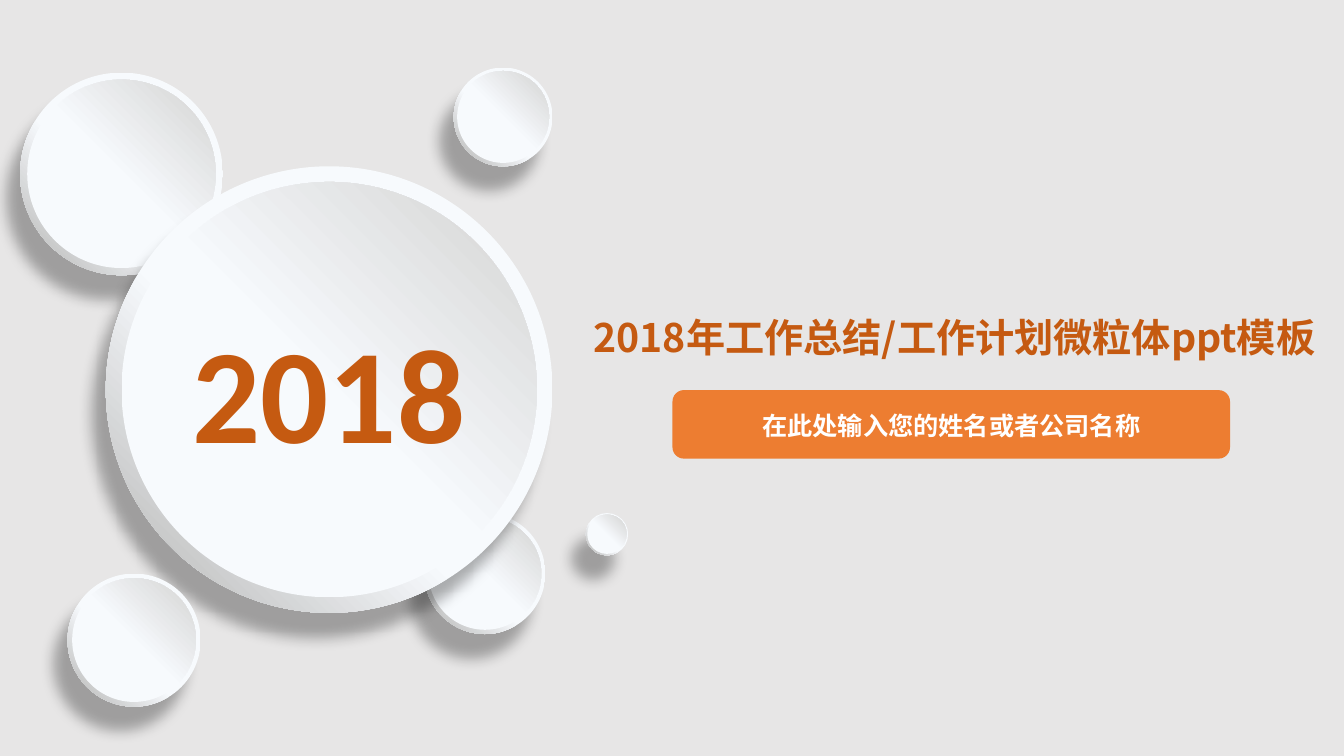
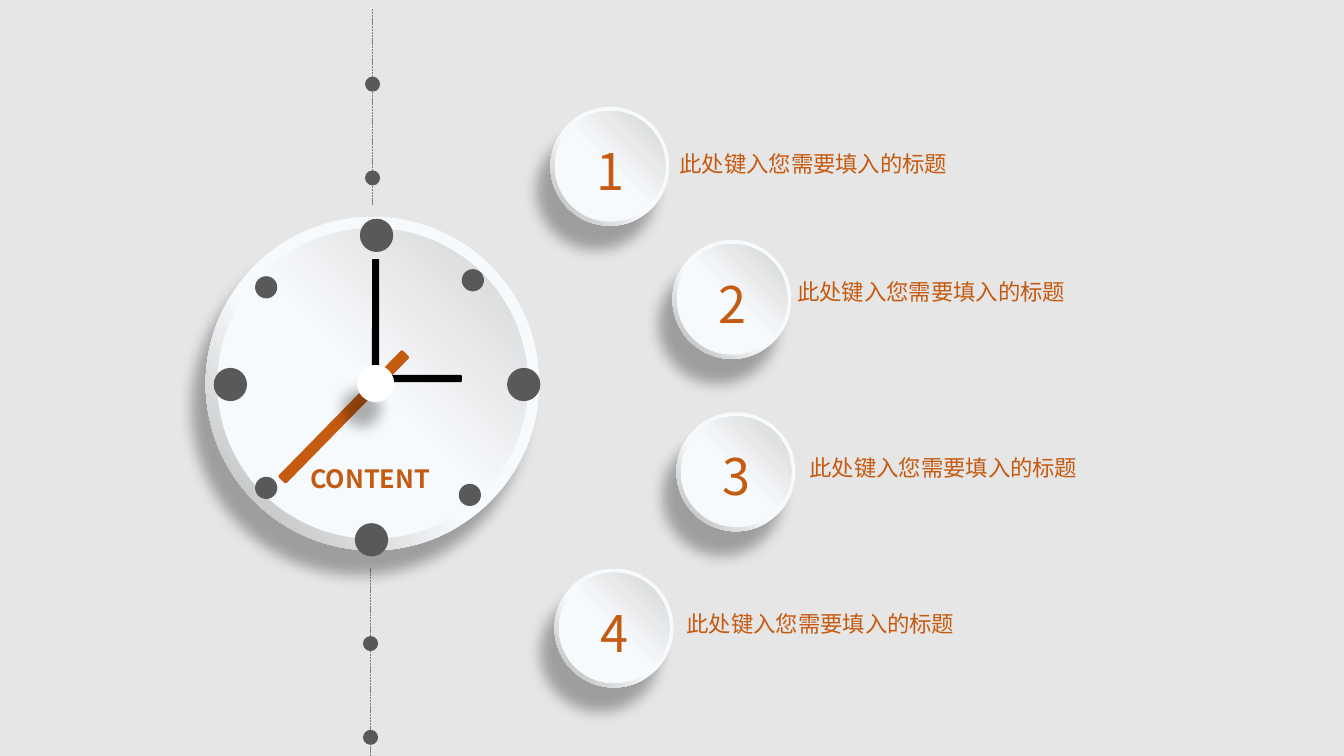
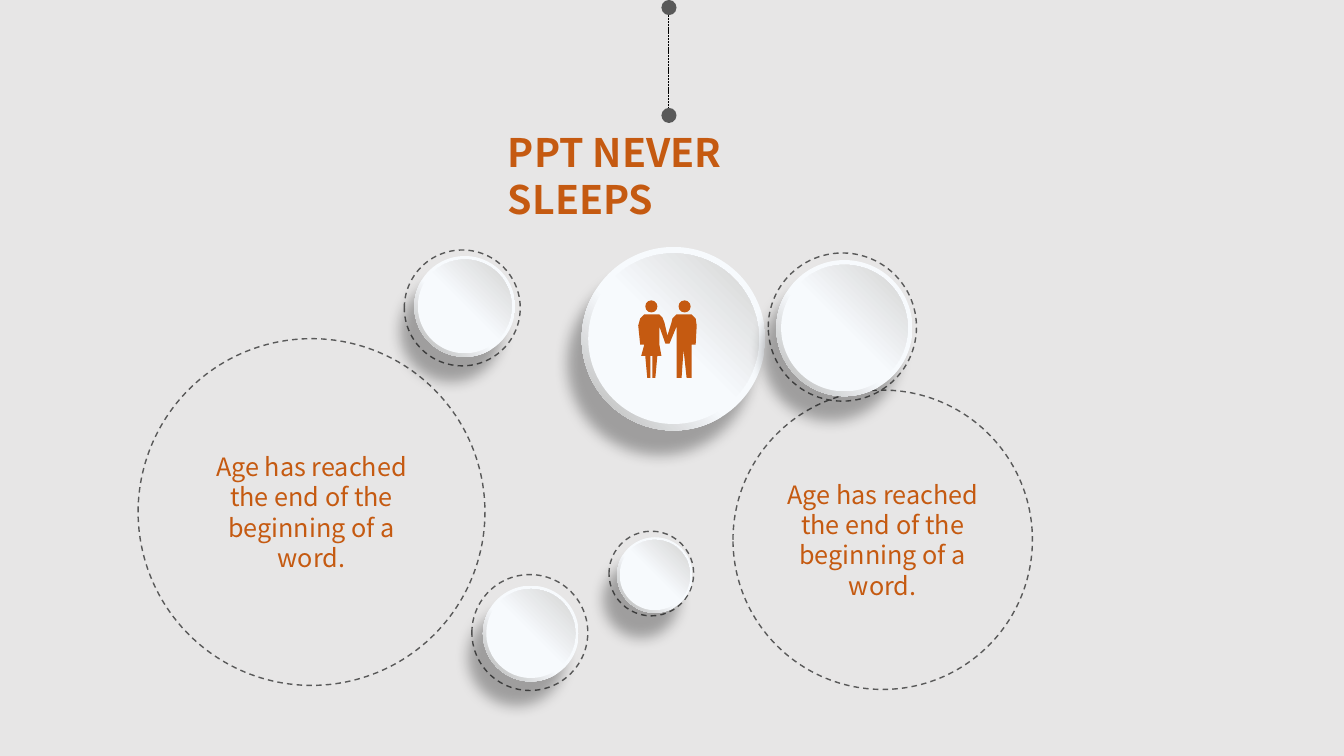
import pptx
import pptx.chart.data
import pptx.dml.color
import pptx.enum.dml
import pptx.enum.shapes
import pptx.enum.text
import pptx.oxml
import pptx.oxml.ns
import pptx.util
import lxml.etree

Inches = pptx.util.Inches
Pt = pptx.util.Pt
KIND = pptx.enum.shapes.MSO_SHAPE
DASH = pptx.enum.dml.MSO_LINE
ALIGN = pptx.enum.text.PP_ALIGN
ANCHOR = pptx.enum.text.MSO_ANCHOR
NS = pptx.oxml.ns.nsdecls("a")
FONT = "Noto Sans CJK SC"
PAPER, RUST, ORANGE = "E7E6E6", "C55A11", "ED7D31"
GREY, MID, BLACK, WHITE = "595959", "808080", "000000", "FFFFFF"
RIM = 135, ((57, "F7FAFD"), (92, "BFBFBF"), (100, "A6A6A6"))
FACE = 315, ((49, "F7FAFD"), (92, "D9D9D9"), (100, "BFBFBF"))
LABEL = "此处键入您需要填入的标题"
PHRASE = "Age has reached the end of the beginning of a word."
COUPLE = [
    (686, 312), (671, 312), (667, 316), (666, 320), (662, 333), (659, 320),
    (657, 315), (654, 312), (639, 312), (635, 316), (633, 323), (635, 342),
    (639, 342), (636, 353), (640, 353), (642, 375), (645, 375), (645, 353),
    (647, 353), (647, 375), (650, 375), (652, 353), (656, 353), (654, 342),
    (654, 324), (660, 341), (664, 341), (671, 324), (671, 375), (676, 375),
    (678, 347), (681, 375), (686, 375), (686, 342), (690, 342), (691, 323),
    (690, 316),
]


def paint(color):
    """Turn a hex string into a colour."""
    return pptx.dml.color.RGBColor.from_string(color)


def shade(item, blend):
    """Fill a shape with a linear gradient."""
    angle, stops = blend
    marks = "".join(
        f'<a:gs pos="{pos * 1000}"><a:srgbClr val="{color}"/></a:gs>'
        for pos, color in stops)
    fill = pptx.oxml.parse_xml(
        f'<a:gradFill {NS} rotWithShape="1"><a:gsLst>{marks}</a:gsLst>'
        f'<a:lin ang="{angle * 60000}" scaled="0"/></a:gradFill>')
    item.element.spPr.find(pptx.oxml.ns.qn("a:prstGeom")).addnext(fill)


def drop(item):
    """Cast a soft shadow down to the left."""
    effect = item.element.spPr.find(pptx.oxml.ns.qn("a:effectLst"))
    effect.append(pptx.oxml.parse_xml(
        f'<a:outerShdw {NS} blurRad="{Pt(10)}" dist="{Pt(20)}" '
        'dir="7200000" algn="ctr" rotWithShape="0"><a:srgbClr val="000000">'
        '<a:alpha val="31000"/></a:srgbClr></a:outerShdw>'))


def plain(item, fill=None):
    """Remove outline and shadow, and set a flat fill if given."""
    item.shadow.inherit = False
    item.line.fill.background()
    if fill:
        item.fill.solid()
        item.fill.fore_color.rgb = paint(fill)
    return item


def shape(slide, kind, x, y, w, h, fill=None):
    """Add a preset shape without outline."""
    item = slide.shapes.add_shape(
        kind, Inches(x), Inches(y), Inches(w), Inches(h))
    return plain(item, fill)


def disc(slide, x, y, size, fill=None):
    """Add a circle."""
    return shape(slide, KIND.OVAL, x, y, size, size, fill)


def write(item, words, size, color=RUST, bold=False, font=FONT,
          align=ALIGN.CENTER, lead=1.3):
    """Put one styled paragraph into a shape."""
    frame = item.text_frame
    frame.text = words
    para = frame.paragraphs[0]
    para.alignment = align
    if lead:
        para.line_spacing = Pt(round(size * lead, 1))
    run = para.runs[0]
    run.font.size = Pt(size)
    run.font.bold = bold
    run.font.color.rgb = paint(color)
    run.font.name = font
    east = lxml.etree.SubElement(
        run.font._element, pptx.oxml.ns.qn("a:ea"))
    east.set("typeface", font)


def text(slide, x, y, w, h, words, size, wrap=False, **style):
    """Add a text box, left aligned unless told otherwise."""
    box = slide.shapes.add_textbox(
        Inches(x), Inches(y), Inches(w), Inches(h))
    box.text_frame.word_wrap = wrap
    write(box, words, size, **{"align": ALIGN.LEFT, **style})


def ball(slide, x, y, size):
    """Draw a raised button and return its face."""
    rim = disc(slide, x, y, size)
    shade(rim, RIM)
    drop(rim)
    edge = size * 0.035
    face = disc(slide, x + edge, y + edge, size - 2 * edge)
    shade(face, FACE)
    return face


def ring(slide, x, y, size, words=None):
    """Draw a dashed circle, with words inside if given."""
    item = disc(slide, x, y, size)
    item.fill.background()
    item.line.color.rgb = paint(GREY)
    item.line.width = Pt(1)
    item.line.dash_style = DASH.DASH
    if words:
        frame = item.text_frame
        frame.word_wrap = True
        frame.vertical_anchor = ANCHOR.MIDDLE
        frame.margin_left = frame.margin_right = Inches(0.08)
        write(item, words, 18, lead=1.2)


def thread(slide, x, y, span, color, dots):
    """Hang a dotted line with beads at the given depths."""
    line = slide.shapes.add_connector(
        pptx.enum.shapes.MSO_CONNECTOR.STRAIGHT,
        Inches(x), Inches(y), Inches(x), Inches(y + span))
    line.line.color.rgb = paint(color)
    line.line.width = Pt(0.5)
    line.line.dash_style = DASH.SQUARE_DOT
    lxml.etree.SubElement(
        line.element.spPr, pptx.oxml.ns.qn("a:effectLst"))
    for depth in dots:
        disc(slide, x - 0.07, y + depth, 0.15, GREY)


def entry(slide, x, y, number, right, down):
    """Draw a numbered button with its label."""
    ball(slide, x, y, 1.18)
    text(slide, x + 0.33, y + 0.23, 0.52, 0.71, str(number), 36,
         align=ALIGN.CENTER)
    text(slide, x + right, y + down, 2.89, 0.37, LABEL, 16)


def clock(slide, x, y):
    """Draw the clock with hands, hub and hour marks."""
    ball(slide, x, y, 3.31)
    hands = [(0.49, 1.93, 1.76, 0.11, 314.4, RUST),
             (1.11, 0.96, 1.15, 0.07, 270, BLACK),
             (1.75, 1.57, 0.79, 0.07, 0, BLACK)]
    for left, top, w, h, turn, color in hands:
        hand = shape(slide, KIND.ROUNDED_RECTANGLE,
                     x + left, y + top, w, h, color)
        hand.rotation = turn
    drop(disc(slide, x + 1.5, y + 1.47, 0.37, WHITE))
    marks = {0.33: [(0.08, 1.5), (2.99, 1.5), (1.48, 3.04), (1.53, 0.02)],
             0.22: [(0.49, 0.59), (0.49, 2.58), (2.51, 2.65), (2.54, 0.52)]}
    for size, spots in marks.items():
        for left, top in spots:
            disc(slide, x + left, y + top, size, GREY)
    text(slide, x + 0.94, y + 2.37, 1.46, 0.4, "CONTENT", 18, bold=True)


def pair(slide, x, y):
    """Draw two people holding hands."""
    for left in (0.07, 0.4):
        disc(slide, x + left, y, 0.12, RUST)
    spots = [(x * 100 + px - 633, y * 100 + py - 298) for px, py in COUPLE]
    pen = slide.shapes.build_freeform(*spots[0], scale=Inches(0.01))
    pen.add_line_segments(spots[1:], close=True)
    plain(pen.convert_to_shape(), RUST)


def page(deck):
    """Add a blank slide with the shared background."""
    slide = deck.slides.add_slide(deck.slide_layouts[6])
    slide.background.fill.solid()
    slide.background.fill.fore_color.rgb = paint(PAPER)
    return slide


def cover(deck):
    """Build the title slide."""
    slide = page(deck)
    for spot in [(4.21, 5.09, 1.2), (0.2, 0.72, 2.01)]:
        ball(slide, *spot)
    face = ball(slide, 1.05, 1.65, 4.43)
    face.text_frame.vertical_anchor = ANCHOR.MIDDLE
    write(face, "2018", 96, bold=True, font="Calibri", lead=None)
    for spot in [(4.5, 0.67, 0.98), (0.67, 5.69, 1.32), (5.81, 5.09, 0.42)]:
        ball(slide, *spot)
    text(slide, 5.79, 3.06, 7.54, 0.57, "2018年工作总结/工作计划微粒体ppt模板",
         28, wrap=True, bold=True, lead=1.2)
    bar = shape(slide, KIND.ROUNDED_RECTANGLE, 6.67, 3.87, 5.53, 0.68, ORANGE)
    bar.text_frame.vertical_anchor = ANCHOR.MIDDLE
    write(bar, "在此处输入您的姓名或者公司名称", 18, WHITE, bold=True)


def agenda(deck):
    """Build the contents slide."""
    slide = page(deck)
    thread(slide, 3.69, 0.09, 1.94, MID, (0.67, 1.6))
    rows = [(5.46, 1.06, 1.18, 0.36), (6.67, 2.38, 1.14, 0.31),
            (6.71, 4.09, 1.22, 0.34), (5.5, 5.64, 1.21, 0.34)]
    for number, (x, y, right, down) in enumerate(rows, 1):
        entry(slide, x, y, number, right, down)
    thread(slide, 3.67, 5.64, 1.86, MID, (0.67, 1.6))
    clock(slide, 2.04, 2.15)


def story(deck):
    """Build the slide of buttons and rings."""
    slide = page(deck)
    ball(slide, 5.77, 2.45, 1.82)
    pair(slide, 6.33, 2.98)
    for spot in [(1.37, 3.36, 3.44, PHRASE), (4.01, 2.48, 1.15),
                 (7.27, 3.87, 2.97, PHRASE), (7.62, 2.51, 1.47),
                 (4.68, 5.7, 1.15), (6.04, 5.27, 0.84)]:
        ring(slide, *spot)
    text(slide, 4.94, 1.22, 3.37, 0.57, "PPT NEVER SLEEPS", 28,
         wrap=True, bold=True, lead=1.2)
    thread(slide, 6.63, 0.15, 0.92, BLACK, (-0.15, 0.92))
    for spot in [(4.11, 2.54, 1), (6.12, 5.33, 0.75),
                 (4.79, 5.81, 0.95), (7.7, 2.58, 1.35)]:
        ball(slide, *spot)


def main():
    """Build and save the deck."""
    deck = pptx.Presentation()
    deck.slide_width, deck.slide_height = Inches(13.33), Inches(7.5)
    for build in (cover, agenda, story):
        build(deck)
    deck.save("out.pptx")


if __name__ == "__main__":
    main()
